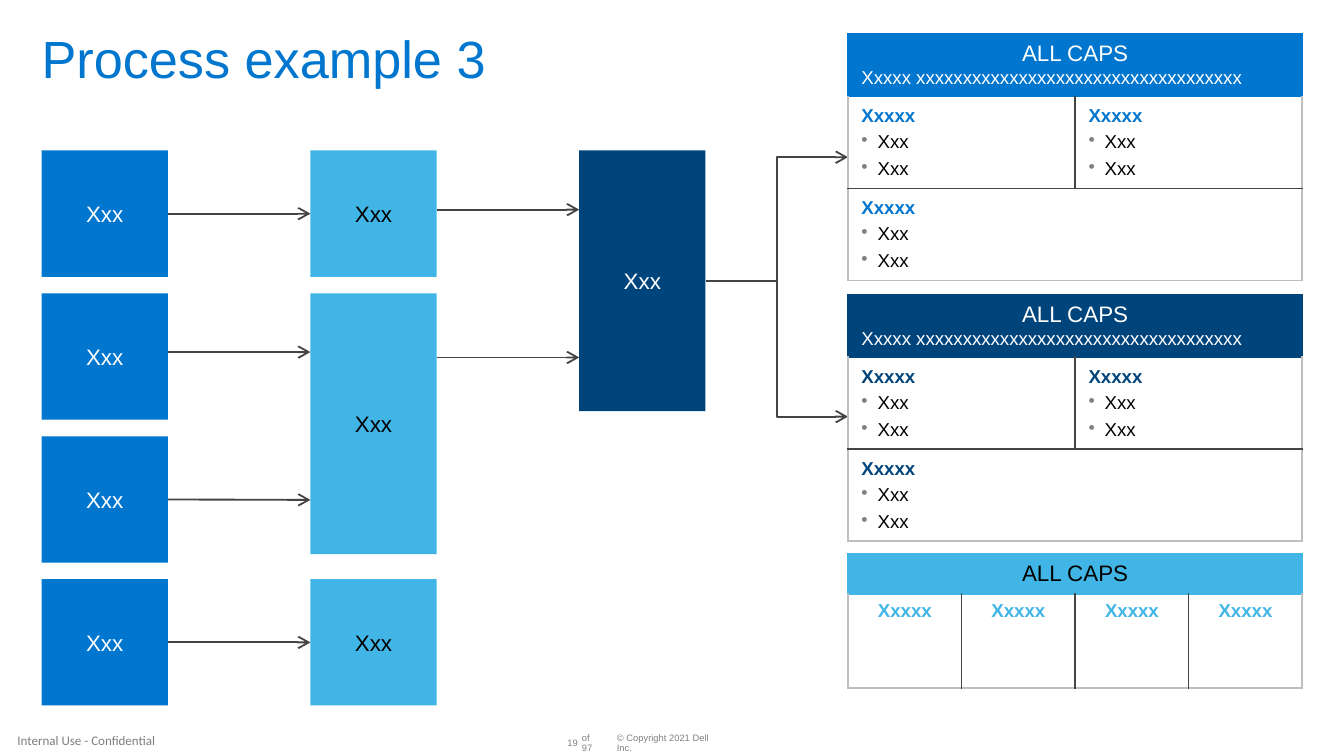
from lxml import etree
from pptx import Presentation
from pptx.dml.color import RGBColor
from pptx.enum.shapes import MSO_CONNECTOR as Link, MSO_SHAPE as Preset
from pptx.enum.text import MSO_ANCHOR as Anchor, MSO_AUTO_SIZE as Fit, PP_ALIGN as Align
from pptx.oxml.ns import qn
from pptx.util import Inches, Pt

BLUE, SKY, NAVY = "0076CE", "41B6E6", "00447C"
WHITE, BLACK, DARK, PALE, GRAY = "FFFFFF", "000000", "444444", "BFBFBF", "808080"
SLIDE_WIDTH = 10
SLIDE_HEIGHT = SLIDE_WIDTH * 9 / 16
SIDE = 0.94
TALL = 1.94
COLUMN_PITCH = 2.0
TOP, BOTTOM = 1.12, 5.25
ROW_PITCH = (BOTTOM - TOP - SIDE) / 3
NO_MARGINS = dict(margin_left=0, margin_right=0, margin_top=0, margin_bottom=0)


def assign(target, values):
    for name, value in values.items():
        setattr(target, name, value)


def hex_color(value):
    return RGBColor.from_string(value)


def end_size(paragraph, size):
    etree.SubElement(paragraph._p, qn("a:endParaRPr"), sz=str(size * 100))


def write(paragraph, text, size, color, bold=False, font="Arial", **layout):
    assign(paragraph, layout)
    run = paragraph.add_run()
    run.text = text
    assign(run.font, dict(size=Pt(size), name=font, bold=bold))
    run.font.color.rgb = hex_color(color)
    end_size(paragraph, size)


def add_bullet(paragraph):
    properties = paragraph._p.get_or_add_pPr()
    properties.set("marL", str(Inches(0.12)))
    properties.set("indent", str(-Inches(0.12)))
    bullet_color = etree.SubElement(properties, qn("a:buClr"))
    etree.SubElement(bullet_color, qn("a:srgbClr"), val=GRAY)
    etree.SubElement(properties, qn("a:buChar"), char="•")


def add_step(slide, left, top, height, fill, color):
    step = slide.shapes.add_shape(Preset.RECTANGLE, Inches(left), Inches(top),
                                  Inches(SIDE), Inches(height))
    step.shadow.inherit = False
    step.fill.solid()
    step.fill.fore_color.rgb = hex_color(fill)
    step.line.fill.background()
    frame = step.text_frame
    assign(frame, dict(margin_top=0, margin_bottom=0, word_wrap=True,
                       vertical_anchor=Anchor.MIDDLE))
    write(frame.paragraphs[0], "Xxx", 12, color, alignment=Align.CENTER)
    return step


def add_arrow(slide, start, end, kind=Link.STRAIGHT, source=None, target=None):
    arrow = slide.shapes.add_connector(kind, *map(Inches, (*start, *end)))
    if source is not None:
        arrow.begin_connect(source, 3)
    if target is not None:
        arrow.end_connect(target, 1)
    arrow.line.width = Pt(1)
    arrow.line.color.rgb = hex_color(DARK)
    etree.SubElement(arrow.line._get_or_add_ln(), qn("a:tailEnd"), type="arrow")
    etree.SubElement(arrow._element.spPr, qn("a:effectLst"))


def add_flow(slide, left, top):
    columns = [left + COLUMN_PITCH * i for i in range(3)]
    rows = [top + ROW_PITCH * i for i in range(4)]
    inputs = [add_step(slide, columns[0], y, SIDE, BLUE, WHITE) for y in rows]
    first, middle, last = [
        add_step(slide, columns[1], rows[row], height, SKY, BLACK)
        for row, height in ((0, SIDE), (1, TALL), (3, SIDE))]
    result = add_step(slide, columns[2], top, TALL, NAVY, WHITE)

    arrows = (
        (0, 0.47, inputs[0], first), (0, 1.5, None, None),
        (0, 2.6, inputs[2], None), (0, 3.66, inputs[3], last),
        (1, 0.44, None, None), (1, 1.54, None, None))
    for column, offset, source, target in arrows:
        y = top + offset
        add_arrow(slide, (columns[column] + SIDE, y), (columns[column + 1], y),
                  source=source, target=target)
    exit_x = columns[2] + SIDE
    for y in (1.17, 3.1):
        add_arrow(slide, (exit_x, top + TALL / 2), (exit_x + 1.06, y),
                  Link.ELBOW, source=result)


def set_borders(cell, colors):
    properties = cell._tc.get_or_add_tcPr()
    for position, (side, color) in enumerate(zip("LRTB", colors)):
        border = etree.Element(qn(f"a:ln{side}"), w=str(Pt(1)))
        fill = etree.SubElement(border, qn("a:solidFill"))
        etree.SubElement(fill, qn("a:srgbClr"), val=color)
        properties.insert(position, border)


def add_grid(slide, box, heights, columns, accent, headers, merged):
    holder = slide.shapes.add_table(len(heights), columns, *map(Inches, box))
    table = holder.table
    assign(table, dict(first_row=False, horz_banding=False))
    for row, height in zip(table.rows, heights):
        row.height = Inches(height)
    holder.height = Inches(box[3])
    for r in range(len(heights)):
        header, joined = r < headers, r in merged
        if joined:
            table.cell(r, 0).merge(table.cell(r, columns - 1))
        for c in range(columns):
            cell = table.cell(r, c)
            if cell.is_spanned:
                end_size(cell.text_frame.paragraphs[0], 1)
            if header:
                cell.fill.solid()
                cell.fill.fore_color.rgb = hex_color(accent)
                set_borders(cell, [accent] * 4)
            else:
                cell.fill.background()
                set_borders(cell, [
                    PALE if joined or c == 0 else DARK,
                    PALE if joined or c == columns - 1 else DARK,
                    accent if r == headers else DARK,
                    PALE if r == len(heights) - 1 else DARK])
    return table


def fill_list(cell, accent):
    cell.vertical_anchor = Anchor.MIDDLE
    frame = cell.text_frame
    write(frame.paragraphs[0], "Xxxxx", 10, accent, bold=True)
    for item in ("Xxx", "Xxx"):
        paragraph = frame.add_paragraph()
        add_bullet(paragraph)
        write(paragraph, item, 10, BLACK, space_before=Pt(3))


def add_detail_table(slide, box, accent):
    table = add_grid(slide, box, [0.17] * 4, 2, accent, 2, (0, 1, 3))
    heading, summary = table.cell(0, 0), table.cell(1, 0)
    assign(heading, dict(margin_bottom=0, vertical_anchor=Anchor.MIDDLE))
    assign(summary, dict(margin_top=0, vertical_anchor=Anchor.MIDDLE))
    write(heading.text_frame.paragraphs[0], "ALL CAPS", 12, WHITE,
          alignment=Align.CENTER)
    write(summary.text_frame.paragraphs[0],
          "Xxxxx xxxxxxxxxxxxxxxxxxxxxxxxxxxxxxxxxxx", 10, WHITE)
    for position in ((2, 0), (2, 1), (3, 0)):
        fill_list(table.cell(*position), accent)


def add_summary_table(slide, box, accent):
    table = add_grid(slide, box, (0.17, 0.7), 4, accent, 1, (0,))
    heading = table.cell(0, 0)
    heading.vertical_anchor = Anchor.MIDDLE
    write(heading.text_frame.paragraphs[0], "ALL CAPS", 12, BLACK,
          alignment=Align.CENTER)
    for c in range(4):
        write(table.cell(1, c).text_frame.paragraphs[0], "Xxxxx", 10, accent,
              bold=True, alignment=Align.CENTER)


def add_title(slide, box):
    title = slide.shapes.title
    assign(title, dict(zip(("left", "top", "width", "height"), map(Inches, box))))
    frame = title.text_frame
    assign(frame, dict(NO_MARGINS, vertical_anchor=Anchor.TOP, word_wrap=True,
                       auto_size=Fit.NONE))
    write(frame.paragraphs[0], "Process example 3", 28, BLUE,
          alignment=Align.LEFT, line_spacing=0.9)


def add_footer(slide, top):
    small = dict(size=5, color=GRAY, line_spacing=0.9)
    label = dict(size=7, color="7F7F7F", font="Calibri")
    notes = (
        ("© Copyright 2021 Dell Inc.", (4.59, top, 0.81, 0.08), small),
        ("19", (4.22, top, 0.08, 0.08), dict(small, alignment=Align.RIGHT)),
        ("of 97", (4.33, top, 0.15, 0.08), small),
        ("Internal Use - Confidential", (0.13, top - 0.1, 1.3, 0.23), label))
    for text, box, style in notes:
        frame = slide.shapes.add_textbox(*map(Inches, box)).text_frame
        assign(frame, dict(NO_MARGINS, vertical_anchor=Anchor.MIDDLE, word_wrap=True))
        write(frame.paragraphs[0], text, **style)


def main():
    deck = Presentation()
    assign(deck, dict(slide_width=Inches(SLIDE_WIDTH), slide_height=Inches(SLIDE_HEIGHT)))
    slide = deck.slides.add_slide(deck.slide_layouts[5])
    add_footer(slide, 5.49)
    add_title(slide, (0.31, 0.25, 9.38, 0.42))
    add_flow(slide, 0.31, TOP)
    add_detail_table(slide, (6.31, 0.25, 3.38, 1.83), BLUE)
    add_detail_table(slide, (6.31, 2.19, 3.38, 1.83), NAVY)
    add_summary_table(slide, (6.31, 4.12, 3.38, 1), SKY)
    deck.save("out.pptx")


if __name__ == "__main__":
    main()
